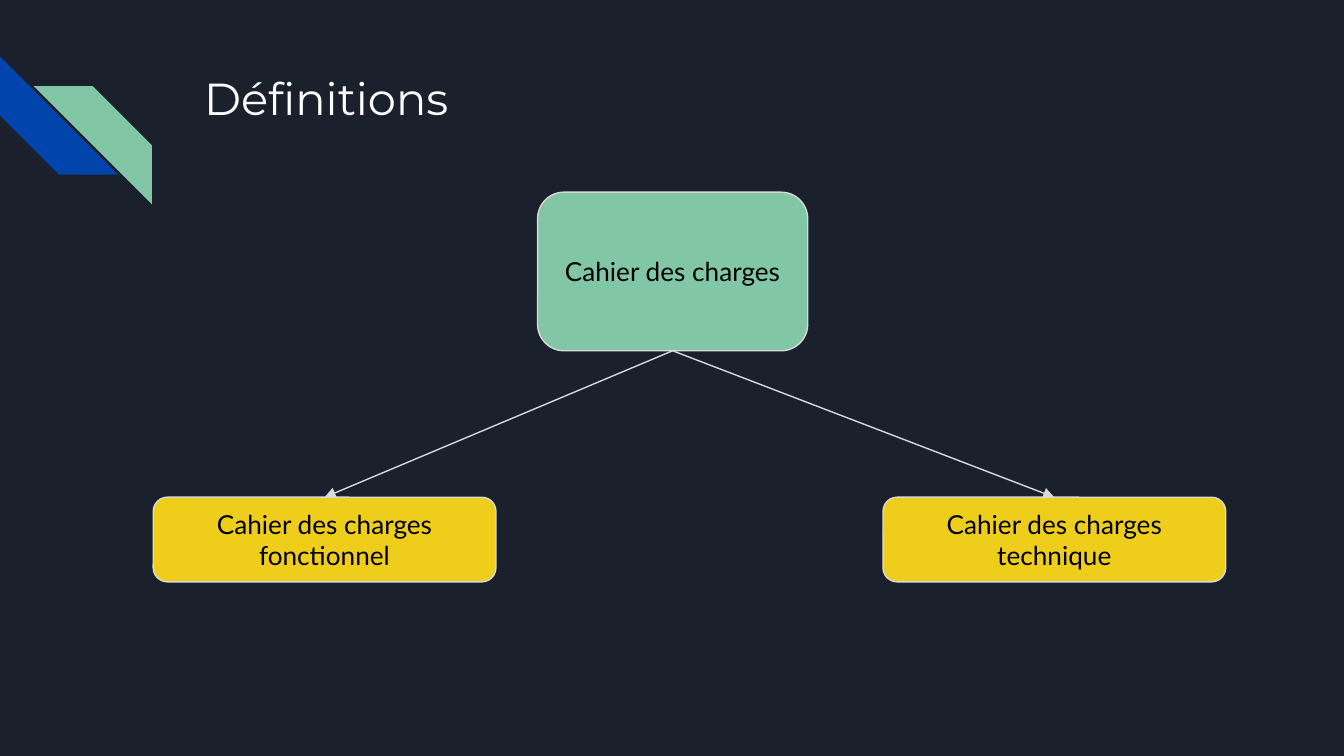
from lxml.etree import SubElement as Sub
from pptx import Presentation
from pptx.dml.color import RGBColor
from pptx.enum.shapes import MSO_CONNECTOR as Link, MSO_SHAPE as Form
from pptx.enum.text import MSO_ANCHOR as Anchor, PP_ALIGN as Align
from pptx.oxml.ns import qn
from pptx.util import Inches, Pt

NIGHT = RGBColor(0x1B, 0x21, 0x2C)
BLUE = RGBColor(0x01, 0x45, 0xAC)
GREEN = RGBColor(0x82, 0xC7, 0xA5)
GOLD = RGBColor(0xEE, 0xCE, 0x1A)
GREY = RGBColor(0xD9, 0xD9, 0xD9)
WHITE = RGBColor(0xFF, 0xFF, 0xFF)
BLACK = RGBColor(0x00, 0x00, 0x00)


def add_form(kind, left, top, width, height, fill):
    form = slide.shapes.add_shape(
        kind, Inches(left), Inches(top), Inches(width), Inches(height))
    form.shadow.inherit = False
    form.fill.solid()
    form.fill.fore_color.rgb = fill
    return form


def set_text(shape, text, face, size, color, align):
    frame = shape.text_frame
    frame.word_wrap = True
    frame.margin_left = frame.margin_right = Inches(0.1)
    frame.margin_top = frame.margin_bottom = Inches(0.1)
    para = frame.paragraphs[0]
    para.text = text
    para.alignment = align
    para.font.name = face
    para.font.size = Pt(size)
    para.font.color.rgb = color
    return frame


deck = Presentation()
deck.slide_width = Inches(10)
deck.slide_height = Inches(10) * 9 // 16
slide = deck.slides.add_slide(deck.slide_layouts[6])
slide.background.fill.solid()
slide.background.fill.fore_color.rgb = NIGHT

for left, top, turn, fill in ((0, 0.42, 270, BLUE), (0.25, 0.64, 90, GREEN)):
    stripe = add_form(Form.DIAGONAL_STRIPE, left, top, 0.88, 0.88, fill)
    stripe.rotation = turn
    stripe.line.fill.background()

title = slide.shapes.add_textbox(Inches(1.42), Inches(0.43), Inches(7.7), Inches(1))
set_text(title, "Définitions", "Montserrat", 24, WHITE, Align.LEFT)

nodes = []
for text, left, top, width, height, fill in (
    ("Cahier des charges", 4, 1.43, 2.01, 1.18, GREEN),
    ("Cahier des charges fonctionnel", 1.14, 3.7, 2.55, 0.63, GOLD),
    ("Cahier des charges technique", 6.57, 3.7, 2.55, 0.63, GOLD),
):
    node = add_form(Form.ROUNDED_RECTANGLE, left, top, width, height, fill)
    node.line.color.rgb = GREY
    node.line.width = Pt(0.75)
    frame = set_text(node, text, "Lato", 14, BLACK, Align.CENTER)
    frame.vertical_anchor = Anchor.MIDDLE
    nodes.append(node)

root, *leaves = nodes
for leaf in leaves:
    arrow = slide.shapes.add_connector(Link.STRAIGHT, 0, 0, 0, 0)
    arrow.begin_connect(root, 2)
    arrow.end_connect(leaf, 0)
    arrow.line.color.rgb = GREY
    arrow.line.width = Pt(0.75)
    Sub(arrow.line._get_or_add_ln(), qn("a:tailEnd"), type="triangle")
    Sub(arrow._element.spPr, qn("a:effectLst"))

deck.save("out.pptx")
